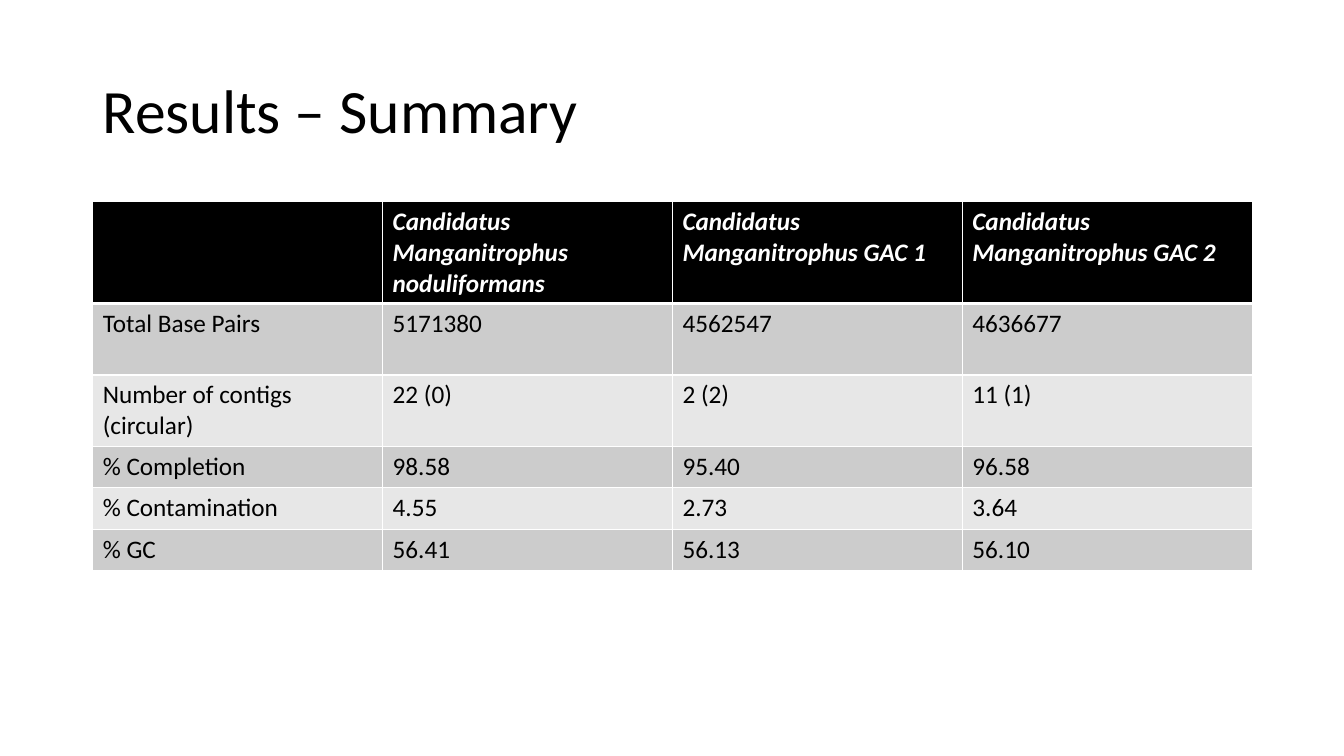
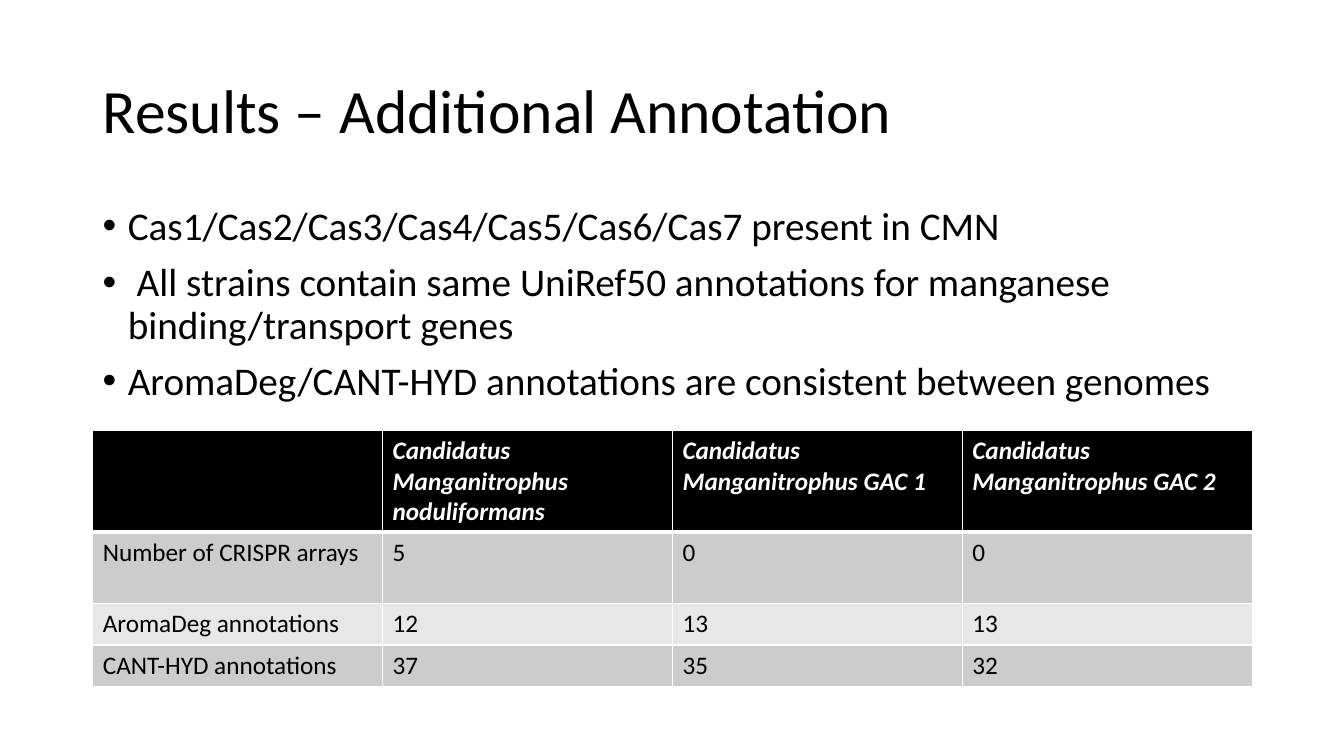
import pptx
import pptx.dml.color
import pptx.enum.text
import pptx.oxml
import pptx.oxml.ns
import pptx.util
from dataclasses import dataclass

STRAINS = [
    "Candidatus Manganitrophus noduliformans",
    "Candidatus Manganitrophus GAC 1",
    "Candidatus Manganitrophus GAC 2",
]

# Each table row: height in text lines, then its cells.
HEADER_ROW = (3, ["", *STRAINS])
SLIDES = [
    {
        "title": "Results – Summary",
        "bullets": [],
        "table_top": 2.0,
        "rows": [
            (2, ["Total Base Pairs", "5171380", "4562547", "4636677"]),
            (2, ["Number of contigs (circular)", "22 (0)", "2 (2)", "11 (1)"]),
            (1, ["% Completion", "98.58", "95.40", "96.58"]),
            (1, ["% Contamination", "4.55", "2.73", "3.64"]),
            (1, ["% GC", "56.41", "56.13", "56.10"]),
        ],
    },
    {
        "title": "Results – Additional Annotation",
        "bullets": [
            "Cas1/Cas2/Cas3/Cas4/Cas5/Cas6/Cas7 present in CMN",
            " All strains contain same UniRef50 annotations for manganese binding/transport genes",
            "AromaDeg/CANT-HYD annotations are consistent between genomes",
        ],
        "table_top": 4.27,
        "rows": [
            (2, ["Number of CRISPR arrays", "5", "0", "0"]),
            (1, ["AromaDeg annotations", "12", "13", "13"]),
            (1, ["CANT-HYD annotations", "37", "35", "32"]),
        ],
    },
]


@dataclass(frozen=True)
class Theme:
    font: str = "Calibri"
    black: str = "000000"
    white: str = "FFFFFF"
    bands: tuple = ("CCCCCC", "E7E7E7")
    title_size: int = 44
    body_size: int = 28
    table_size: int = 18
    line_spacing: float = 0.9
    bullet_gap: int = 10
    thin_rule: int = 1
    header_rule: int = 3


THEME = Theme()
SLIDE_WIDTH, SLIDE_HEIGHT = 13.33, 7.5
LEFT, CONTENT_WIDTH = 0.92, 11.5
TITLE_TOP, TITLE_HEIGHT = 0.4, 1.45
BODY_TOP, BODY_HEIGHT = 2.0, 4.76
BULLET_INDENT = 0.25
TEXT_LINE, CELL_PADDING = 0.3, 0.11
inches = pptx.util.Inches


def format_text(paragraph, size, color=THEME.black, **extra):
    values = {"name": THEME.font, "size": pptx.util.Pt(size), **extra}
    for name, value in values.items():
        setattr(paragraph.font, name, value)
    paragraph.font.color.rgb = pptx.dml.color.RGBColor.from_string(color)


def add_text_frame(slide, top, height, anchor):
    box = slide.shapes.add_textbox(
        inches(LEFT), inches(top), inches(CONTENT_WIDTH), inches(height))
    box.text_frame.word_wrap = True
    box.text_frame.vertical_anchor = anchor
    return box.text_frame


def add_title(slide, text):
    frame = add_text_frame(
        slide, TITLE_TOP, TITLE_HEIGHT, pptx.enum.text.MSO_ANCHOR.MIDDLE)
    paragraph = frame.paragraphs[0]
    paragraph.text = text
    paragraph.line_spacing = THEME.line_spacing
    format_text(paragraph, THEME.title_size)


def add_bullets(slide, bullets):
    frame = add_text_frame(
        slide, BODY_TOP, BODY_HEIGHT, pptx.enum.text.MSO_ANCHOR.TOP)
    for index, text in enumerate(bullets):
        paragraph = frame.add_paragraph() if index else frame.paragraphs[0]
        paragraph.text = text
        paragraph.line_spacing = THEME.line_spacing
        paragraph.space_before = pptx.util.Pt(THEME.bullet_gap if index else 0)
        properties = paragraph._p.get_or_add_pPr()
        properties.set("marL", str(inches(BULLET_INDENT)))
        properties.set("indent", str(-inches(BULLET_INDENT)))
        namespace = pptx.oxml.ns.nsdecls("a")
        for element in (f'<a:buFont {namespace} typeface="Arial"/>',
                        f'<a:buChar {namespace} char="•"/>'):
            properties.append(pptx.oxml.parse_xml(element))
        format_text(paragraph, THEME.body_size)


def add_borders(cell, widths):
    """Draw white cell borders; widths maps each side (L, R, T, B) to points."""
    properties = cell._tc.get_or_add_tcPr()
    for side, width in widths.items():
        properties.append(pptx.oxml.parse_xml(
            f'<a:ln{side} {pptx.oxml.ns.nsdecls("a")} w="{pptx.util.Pt(width)}">'
            f'<a:solidFill><a:srgbClr val="{THEME.white}"/></a:solidFill>'
            f'</a:ln{side}>'))


def add_results_table(slide, top, rows):
    rows = [HEADER_ROW, *rows]
    heights = [CELL_PADDING + lines * TEXT_LINE for lines, _ in rows]
    column_count = len(HEADER_ROW[1])
    table = slide.shapes.add_table(
        len(rows), column_count, inches(LEFT), inches(top),
        inches(CONTENT_WIDTH), inches(sum(heights))).table
    table.horz_banding = False
    for row_index, (_, texts) in enumerate(rows):
        table.rows[row_index].height = inches(heights[row_index])
        is_header = row_index == 0
        fill = THEME.black if is_header else THEME.bands[(row_index - 1) % 2]
        widths = dict.fromkeys("LRTB", THEME.thin_rule)
        if row_index < 2:
            widths["B" if is_header else "T"] = THEME.header_rule
        for column_index, text in enumerate(texts):
            cell = table.cell(row_index, column_index)
            add_borders(cell, widths)
            cell.fill.solid()
            cell.fill.fore_color.rgb = pptx.dml.color.RGBColor.from_string(fill)
            cell.text = text
            format_text(
                cell.text_frame.paragraphs[0], THEME.table_size,
                THEME.white if is_header else THEME.black,
                bold=is_header, italic=is_header)


def main():
    presentation = pptx.Presentation()
    presentation.slide_width = inches(SLIDE_WIDTH)
    presentation.slide_height = inches(SLIDE_HEIGHT)
    blank_layout = presentation.slide_layouts[6]
    for content in SLIDES:
        slide = presentation.slides.add_slide(blank_layout)
        add_title(slide, content["title"])
        add_results_table(slide, content["table_top"], content["rows"])
        if content["bullets"]:
            add_bullets(slide, content["bullets"])
    presentation.save("out.pptx")


if __name__ == "__main__":
    main()
